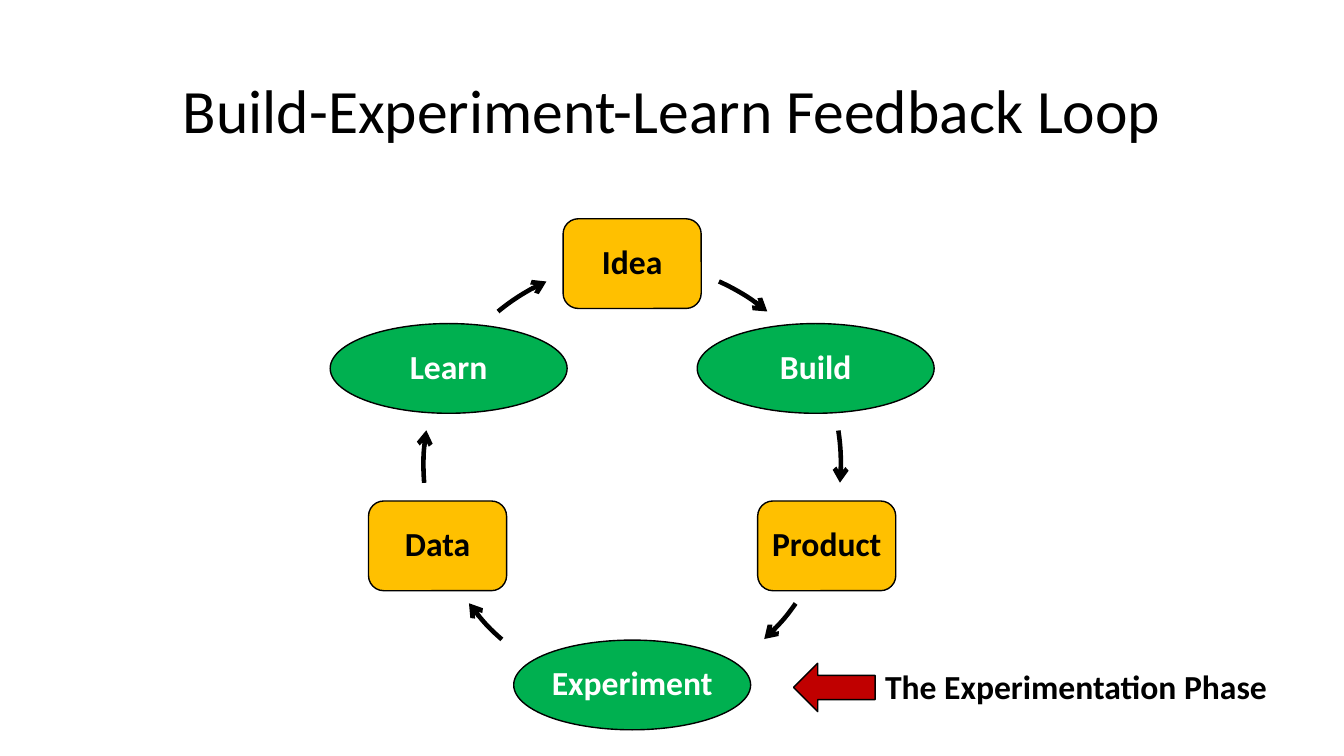
from lxml.etree import SubElement
from pptx import Presentation
from pptx.dml.color import RGBColor
from pptx.enum.shapes import MSO_SHAPE
from pptx.enum.text import MSO_ANCHOR, PP_ALIGN
from pptx.oxml.ns import qn
from pptx.util import Inches, Pt

BLACK = RGBColor(0x00, 0x00, 0x00)
WHITE = RGBColor(0xFF, 0xFF, 0xFF)
AMBER = RGBColor(0xFF, 0xC0, 0x00)
GREEN = RGBColor(0x00, 0xB0, 0x50)
RED = RGBColor(0xC0, 0x00, 0x00)

LOOP_CENTER = 6.27
NODE_HEIGHT = 0.89
ARC_DIAMETER = 4.19

# Horizontal offset from the loop's centre, and top
RESULTS = [("Idea", 0, 2.17), ("Product", 1.93, 4.97), ("Data", -1.93, 4.97)]
ACTIVITIES = [("Build", 1.82, 3.21), ("Experiment", 0, 6.35), ("Learn", -1.82, 3.21)]

# Left and top of the circle, start and end angle in degrees
ARCS = [
    (4.18, 2.61, 294.1, 309.6),
    (4.15, 2.5, 351.1, 5.3),
    (4.08, 2.69, 35, 47.9),
    (4.26, 2.67, 131.1, 144.4),
    (4.2, 2.52, 175.2, 189.5),
    (4.18, 2.61, 230.4, 245.9),
]


class LoopSlide:
    font_name = "Calibri"
    body_size = 24

    def __init__(self, slide):
        self.slide = slide

    def add_text(self, frame, text, color, size=body_size, bold=True,
                 align=PP_ALIGN.CENTER, line_spacing=0.9):
        paragraph = frame.paragraphs[0]
        paragraph.alignment = align
        paragraph.line_spacing = line_spacing
        run = paragraph.add_run()
        run.text = text
        run.font.name = self.font_name
        run.font.size = Pt(size)
        run.font.bold = bold
        run.font.color.rgb = color

    def text_box(self, left, top, width, height, text, wrap, anchor, **style):
        box = self.slide.shapes.add_textbox(
            Inches(left), Inches(top), Inches(width), Inches(height))
        box.text_frame.word_wrap = wrap
        box.text_frame.vertical_anchor = anchor
        self.add_text(box.text_frame, text, BLACK, **style)

    def shape(self, kind, left, top, width, height, fill, line_width=1):
        shape = self.slide.shapes.add_shape(
            kind, Inches(left), Inches(top), Inches(width), Inches(height))
        shape.shadow.inherit = False
        if fill is None:
            shape.fill.background()
        else:
            shape.fill.solid()
            shape.fill.fore_color.rgb = fill
        shape.line.color.rgb = BLACK
        shape.line.width = Pt(line_width)
        return shape

    def node(self, kind, text, offset, top, width, fill, color):
        left = LOOP_CENTER + offset - width / 2
        node = self.shape(kind, left, top, width, NODE_HEIGHT, fill)
        frame = node.text_frame
        frame.word_wrap = True
        frame.vertical_anchor = MSO_ANCHOR.MIDDLE
        frame.margin_left = frame.margin_right = 0
        frame.margin_top = frame.margin_bottom = 0
        self.add_text(frame, text, color)
        return node

    def arc_arrow(self, left, top, start, end):
        arc = self.shape(MSO_SHAPE.ARC, left, top, ARC_DIAMETER, ARC_DIAMETER,
                         None, 3.25)
        # An angle is stored in 1/60000 degree, an adjustment in 1/100000
        arc.adjustments[0] = start * 0.6
        arc.adjustments[1] = end * 0.6
        line = arc.element.spPr.find(qn("a:ln"))
        SubElement(line, qn("a:tailEnd"), type="arrow")


def main():
    presentation = Presentation()
    presentation.slide_width = Inches(13.33)
    presentation.slide_height = Inches(7.5)
    loop = LoopSlide(presentation.slides.add_slide(presentation.slide_layouts[6]))

    loop.text_box(0.92, 0.4, 11.5, 1.45, "Build-Experiment-Learn Feedback Loop",
                  True, MSO_ANCHOR.MIDDLE, size=44, bold=False)
    for text, offset, top in RESULTS:
        node = loop.node(MSO_SHAPE.ROUNDED_RECTANGLE, text, offset, top, 1.37,
                         AMBER, BLACK)
        node.adjustments[0] = 0.17
    for text, offset, top in ACTIVITIES:
        loop.node(MSO_SHAPE.OVAL, text, offset, top, 2.35, GREEN, WHITE)
    for arc in ARCS:
        loop.arc_arrow(*arc)

    pointer = loop.shape(MSO_SHAPE.RIGHT_ARROW, 7.87, 6.58, 0.81, 0.48, RED)
    pointer.rotation = 180
    loop.text_box(8.68, 6.56, 4.03, 0.5, "The Experimentation Phase",
                  False, MSO_ANCHOR.TOP, align=PP_ALIGN.LEFT, line_spacing=1.0)

    presentation.save("out.pptx")


if __name__ == "__main__":
    main()
